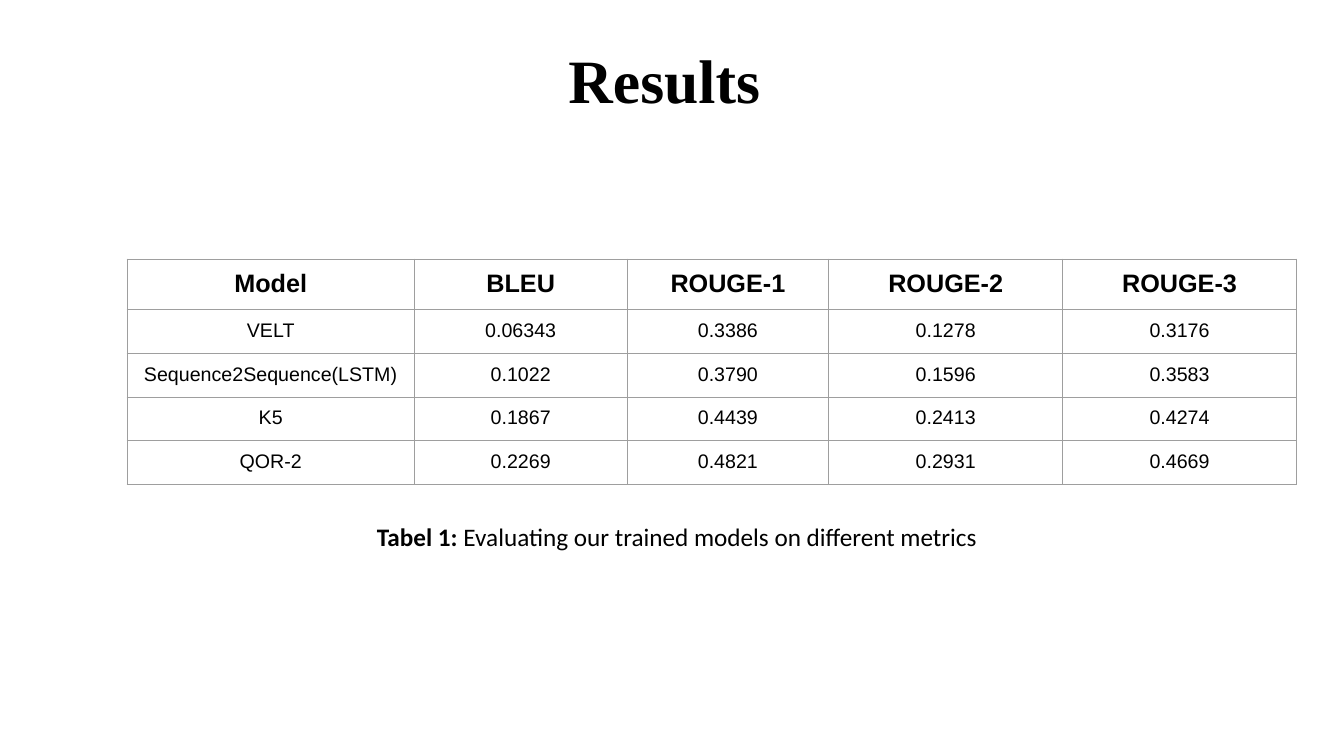
import pptx
import pptx.util
import pptx.dml.color
import pptx.enum.text
import pptx.oxml
import pptx.oxml.ns
from pptx.util import Inches

TITLE = "Results"
CAPTION = [("Tabel 1:", True), (" Evaluating our trained models on different metrics", False)]
RESULTS = [
    ("Model", "BLEU", "ROUGE-1", "ROUGE-2", "ROUGE-3"),
    ("VELT", "0.06343", "0.3386", "0.1278", "0.3176"),
    ("Sequence2Sequence(LSTM)", "0.1022", "0.3790", "0.1596", "0.3583"),
    ("K5", "0.1867", "0.4439", "0.2413", "0.4274"),
    ("QOR-2", "0.2269", "0.4821", "0.2931", "0.4669"),
]
COLUMN_WIDTHS = [2.85, 2.11, 2.0, 2.32, 2.32]
ROW_HEIGHT = 0.42
INSET = Inches(0.1)
COLORS = {"text": "000000", "border": "9E9E9E", "background": "FFFFFF"}
CENTER = pptx.enum.text.PP_ALIGN.CENTER


def style_font(font, name, size, bold=None):
    font.name = name
    font.size = pptx.util.Pt(size)
    font.bold = bold
    font.color.rgb = pptx.dml.color.RGBColor.from_string(COLORS["text"])


def set_insets(holder):
    holder.margin_left = holder.margin_right = INSET
    holder.margin_top = holder.margin_bottom = INSET


def add_text(page, left, top, width, height):
    box = page.shapes.add_textbox(Inches(left), Inches(top), Inches(width), Inches(height))
    box.text_frame.word_wrap = True
    set_insets(box.text_frame)
    return box.text_frame.paragraphs[0]


def add_borders(cell):
    properties = cell._tc.get_or_add_tcPr()
    for position, side in enumerate(("lnL", "lnR", "lnT", "lnB")):
        border = pptx.oxml.parse_xml(
            f'<a:{side} {pptx.oxml.ns.nsdecls("a")} w="{pptx.util.Pt(0.75)}">'
            f'<a:solidFill><a:srgbClr val="{COLORS["border"]}"/></a:solidFill></a:{side}>'
        )
        properties.insert(position, border)


def add_results(page):
    frame = page.shapes.add_table(
        len(RESULTS), len(COLUMN_WIDTHS), Inches(1.26), Inches(2.57),
        Inches(sum(COLUMN_WIDTHS)), Inches(ROW_HEIGHT * len(RESULTS)),
    )
    table = frame.table
    table.first_row = table.horz_banding = False
    for column, width in zip(table.columns, COLUMN_WIDTHS):
        column.width = Inches(width)
    for row_index, values in enumerate(RESULTS):
        is_header = row_index == 0
        for column_index, value in enumerate(values):
            cell = table.cell(row_index, column_index)
            cell.text = value
            cell.fill.background()
            set_insets(cell)
            add_borders(cell)
            para = cell.text_frame.paragraphs[0]
            para.alignment = CENTER
            style_font(para.font, "Arial", 18 if is_header else 14, is_header)


def main():
    deck = pptx.Presentation()
    deck.slide_width, deck.slide_height = Inches(13.33), Inches(7.5)
    page = deck.slides.add_slide(deck.slide_layouts[6])
    page.background.fill.solid()
    page.background.fill.fore_color.rgb = pptx.dml.color.RGBColor.from_string(COLORS["background"])

    title = add_text(page, 2.76, 0.4, 7.66, 0.87)
    title.text = TITLE
    title.alignment = CENTER
    title.line_spacing = 0.9
    style_font(title.font, "Times New Roman", 44, True)

    add_results(page)

    caption = add_text(page, 3.64, 5.07, 6.33, 0.34)
    style_font(caption.font, "Calibri", 18)
    for text, bold in CAPTION:
        span = caption.add_run()
        span.text = text
        span.font.bold = bold

    deck.save("out.pptx")


if __name__ == "__main__":
    main()
